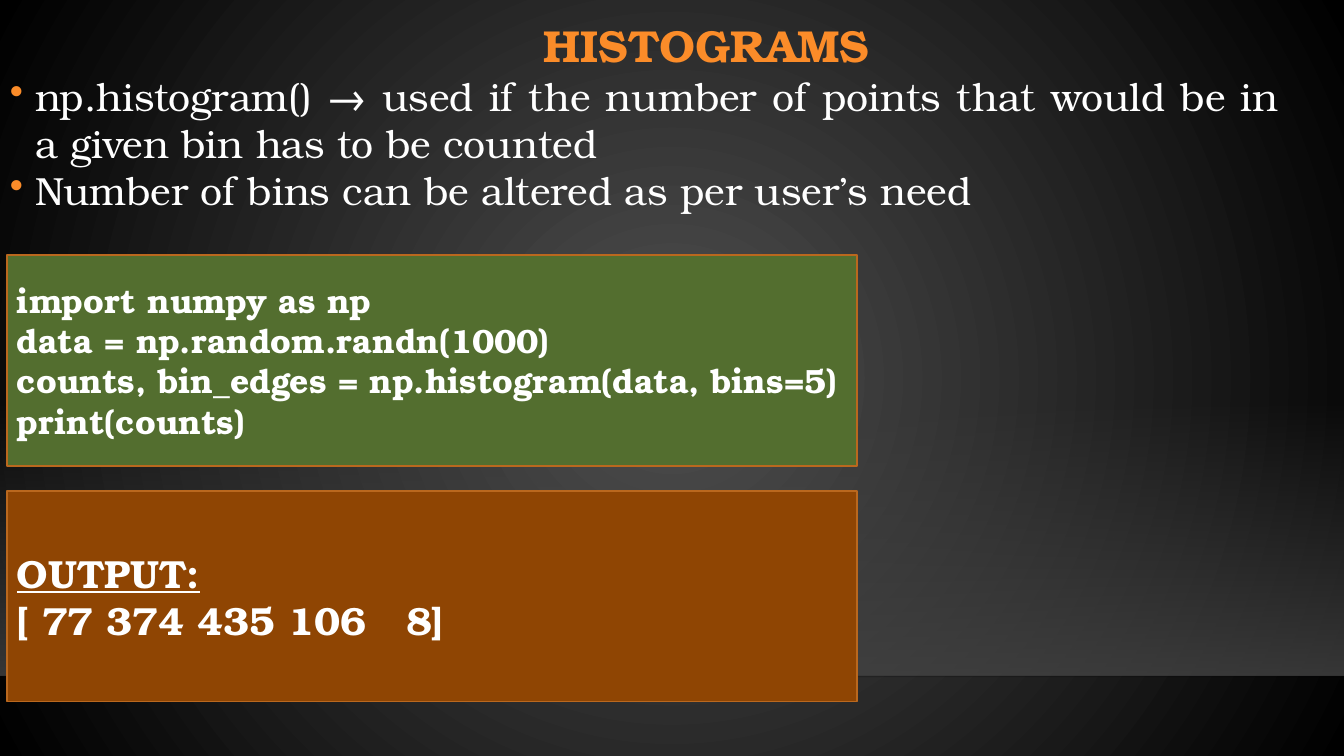
from pptx import Presentation
from pptx.dml.color import RGBColor
from pptx.enum.shapes import MSO_CONNECTOR as Connector, MSO_SHAPE as Shape
from pptx.enum.text import MSO_ANCHOR as Anchor, PP_ALIGN as Align
from pptx.oxml import parse_xml
from pptx.oxml.ns import nsdecls, qn
from pptx.oxml.xmlchemy import OxmlElement
from pptx.util import Inches, Pt

FONT = "TeX Gyre Bonum"
ORANGE, WHITE = "FB8C29", "FFFFFF"
PANEL_LEFT, PANEL_WIDTH, PANEL_HEIGHT = 0.07, 8.43, 2.09

POINTS = [
    "np.histogram() → used if the number of points that would be in "
    "a given bin has to be counted",
    "Number of bins can be altered as per user’s need",
]
CODE = [
    "import numpy as np",
    "data = np.random.randn(1000)",
    "counts, bin_edges = np.histogram(data, bins=5)",
    "print(counts)",
]
OUTPUT = ["OUTPUT:", "[ 77 374 435 106   8]"]


def color(value):
    return RGBColor.from_string(value)


def set_gradient(fill, first, last):
    fill.gradient()
    for stop, position, value in zip(fill.gradient_stops, (0, 1), (first, last)):
        stop.position = position
        stop.color.rgb = color(value)


def set_alpha(color_element, percent):
    alpha = OxmlElement("a:alpha")
    alpha.set("val", str(percent * 1000))
    color_element.append(alpha)


def paint_background(page):
    """Radial gradient, spreading from the centre of the page."""
    set_gradient(page.background.fill, "505050", "000000")
    gradient = page.element.find(".//" + qn("a:gradFill"))
    radial = parse_xml(
        f'<a:path {nsdecls("a")} path="circle">'
        '<a:fillToRect l="50000" t="50000" r="50000" b="50000"/></a:path>'
    )
    gradient.replace(gradient.find(qn("a:lin")), radial)


def add_floor(page):
    """Band that fades in downwards, closed by a thin line."""
    band = page.shapes.add_shape(
        Shape.RECTANGLE, Inches(0), Inches(3.96), Inches(13.33), Inches(2.74))
    band.shadow.inherit = False
    band.line.fill.background()
    set_gradient(band.fill, "454545", "454545")
    band.fill.gradient_angle = 270
    stops = band.element.spPr.iter(qn("a:srgbClr"))
    for stop_color, percent in zip(list(stops), (0, 80)):
        set_alpha(stop_color, percent)

    edge = page.shapes.add_connector(
        Connector.STRAIGHT, Inches(0), Inches(6.71), Inches(13.33), Inches(6.71))
    edge.line.width = Pt(1)
    edge.line.color.rgb = color("000001")
    properties = edge.element.spPr
    set_alpha(properties.find(".//" + qn("a:srgbClr")), 20)
    properties.append(OxmlElement("a:effectLst"))


def add_bullet(para):
    properties = para._p.get_or_add_pPr()
    properties.set("marL", str(Inches(0.25)))
    properties.set("indent", str(-Inches(0.25)))
    bullet_color = OxmlElement("a:buClr")
    rgb = OxmlElement("a:srgbClr")
    rgb.set("val", ORANGE)
    bullet_color.append(rgb)
    bullet = OxmlElement("a:buChar")
    bullet.set("char", "•")
    properties.extend([bullet_color, bullet])


def write_lines(box, lines, size, align=Align.LEFT, value=WHITE, bold=False,
                bullets=False, anchor=Anchor.MIDDLE):
    frame = box.text_frame
    frame.word_wrap = True
    frame.vertical_anchor = anchor
    for index, line in enumerate(lines):
        para = frame.add_paragraph() if index else frame.paragraphs[0]
        para.alignment = align
        if bullets:
            add_bullet(para)
        span = para.add_run()
        span.text = line
        span.font.name = FONT
        span.font.size = Pt(size)
        span.font.bold = bold
        span.font.color.rgb = color(value)


def add_text(page, left, top, width, height):
    return page.shapes.add_textbox(
        Inches(left), Inches(top), Inches(width), Inches(height))


def add_panel(page, top, fill, lines, size):
    panel = page.shapes.add_shape(
        Shape.RECTANGLE, Inches(PANEL_LEFT), Inches(top),
        Inches(PANEL_WIDTH), Inches(PANEL_HEIGHT))
    panel.shadow.inherit = False
    panel.fill.solid()
    panel.fill.fore_color.rgb = color(fill)
    panel.line.color.rgb = color("BA681E")
    panel.line.width = Pt(1.25)
    write_lines(panel, lines, size, bold=True)
    return panel


def main():
    deck = Presentation()
    deck.slide_width, deck.slide_height = Inches(13.33), Inches(7.5)
    page = deck.slides.add_slide(deck.slide_layouts[6])
    paint_background(page)
    add_floor(page)

    title = add_text(page, 1.24, 0.15, 11.54, 0.66)
    write_lines(title, ["HISTOGRAMS"], 32, Align.CENTER, ORANGE, bold=True)
    title.text_frame.paragraphs[0].line_spacing = 0.9

    body = add_text(page, 0, 0.67, 12.78, 6.21)
    write_lines(body, POINTS, 28, Align.JUSTIFY, bullets=True, anchor=Anchor.TOP)

    add_panel(page, 2.53, "536E2F", CODE, 24)
    result = add_panel(page, 4.87, "8F4503", OUTPUT, 28)
    result.text_frame.paragraphs[0].runs[0].font.underline = True
    deck.save("out.pptx")


if __name__ == "__main__":
    main()
